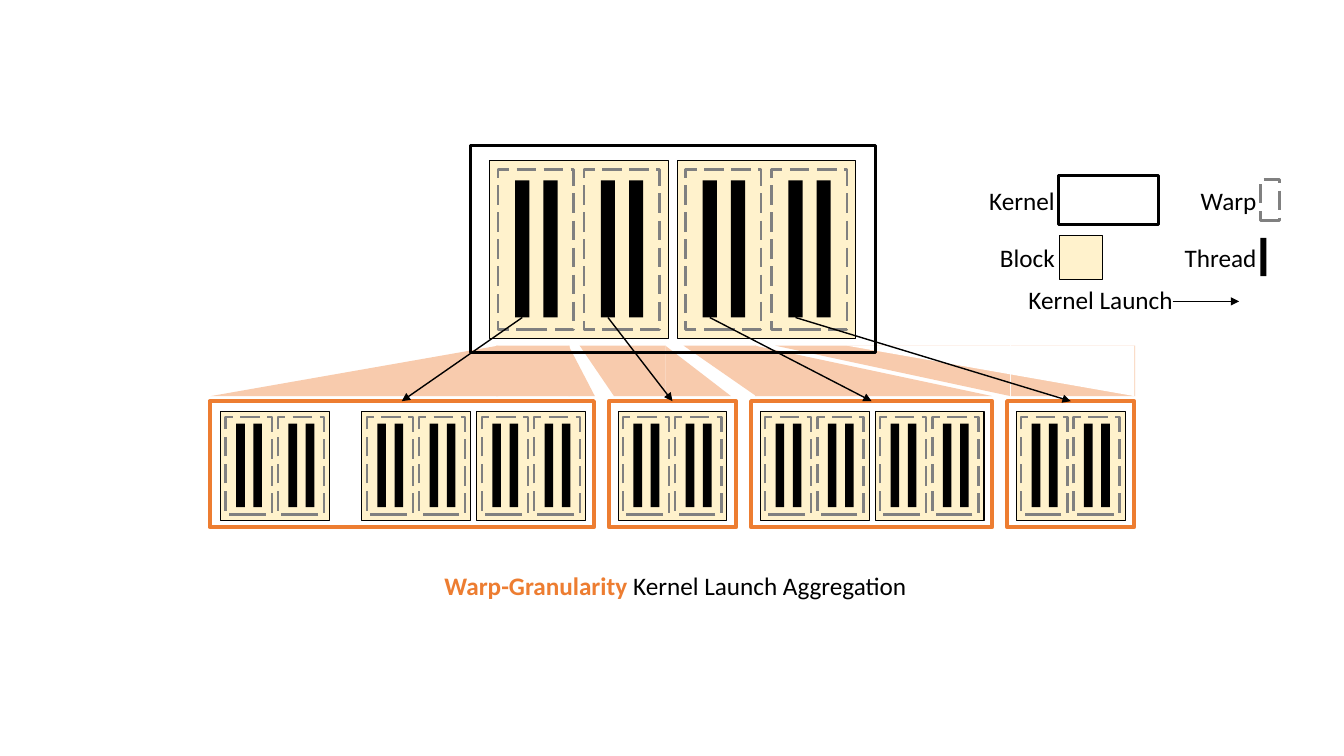
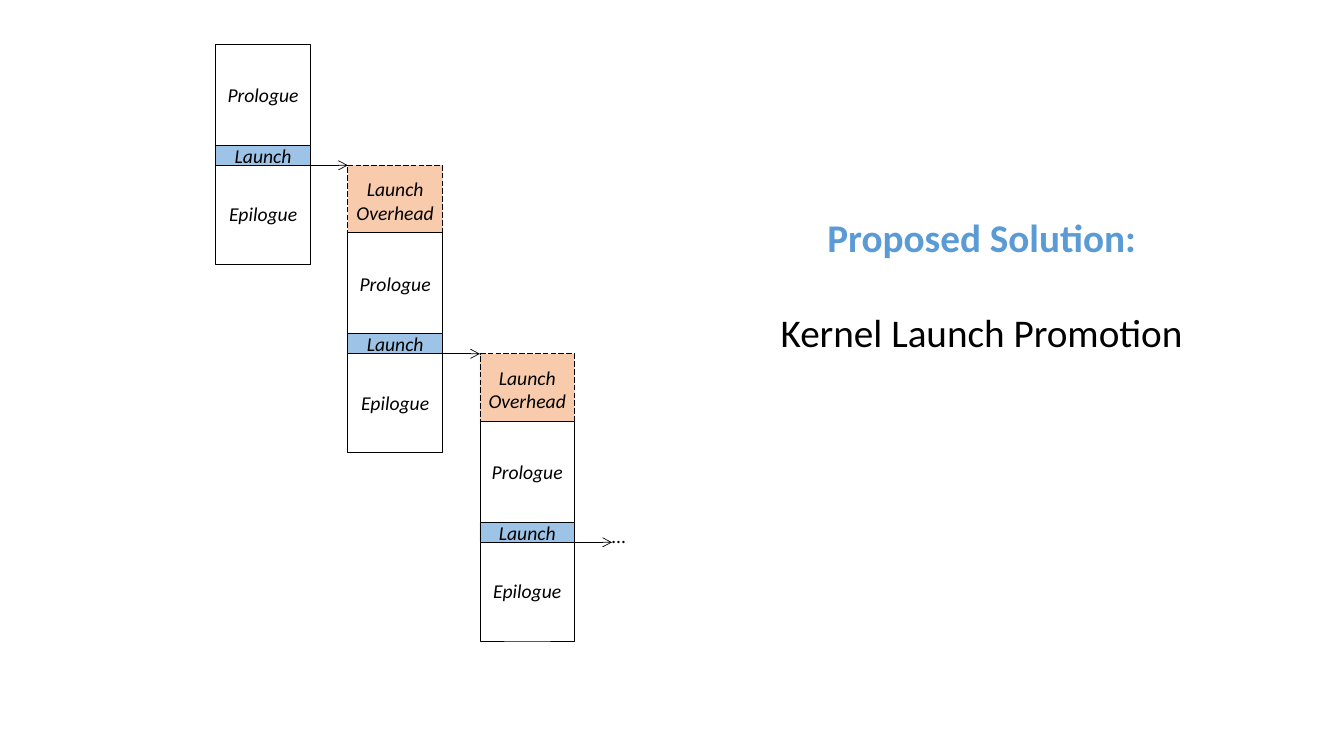
from dataclasses import dataclass
from typing import NamedTuple

from lxml import etree
from pptx import Presentation
from pptx.dml.color import RGBColor
from pptx.enum.dml import MSO_LINE
from pptx.enum.shapes import MSO_CONNECTOR, MSO_SHAPE
from pptx.enum.text import MSO_ANCHOR, MSO_AUTO_SIZE, PP_ALIGN
from pptx.oxml.ns import qn
from pptx.shapes.autoshape import Shape
from pptx.slide import Slide
from pptx.text.text import TextFrame
from pptx.util import Inches, Pt

RECT, TRIANGLE = MSO_SHAPE.RECTANGLE, MSO_SHAPE.RIGHT_TRIANGLE
STRAIGHT = MSO_CONNECTOR.STRAIGHT
LONG_DASH = MSO_LINE.LONG_DASH
LEFT, CENTER, RIGHT = PP_ALIGN.LEFT, PP_ALIGN.CENTER, PP_ALIGN.RIGHT
MIDDLE = MSO_ANCHOR.MIDDLE
FIT_SHAPE = MSO_AUTO_SIZE.SHAPE_TO_FIT_TEXT

FONT = "Calibri"
BLACK, WHITE, GRAY = "000000", "FFFFFF", "808080"
ORANGE, PEACH, CREAM = "ED7D31", "F8CBAD", "FFF2CC"
BLUE, LIGHT_BLUE = "5B9BD5", "9DC3E6"


class Box(NamedTuple):
    left: float
    top: float
    width: float
    height: float


@dataclass(frozen=True)
class Outline:
    color: str
    width: float
    dash: MSO_LINE | None = None


@dataclass(frozen=True)
class Run:
    text: str
    color: str = BLACK
    bold: bool = False


@dataclass(frozen=True)
class FanPiece:
    left: float
    width: float
    preset: MSO_SHAPE = TRIANGLE
    flip: str = ""
    fill: str = PEACH


@dataclass(frozen=True)
class Launch:
    left: float
    width: float
    blocks: tuple[float, ...]


@dataclass(frozen=True)
class Phase:
    text: str
    offset: float
    height: float
    fill: str
    outline: Outline


THIN = Outline(BLACK, 0.75)
HAIRLINE = Outline(BLACK, 0.5)
KERNEL_LINE = Outline(BLACK, 2.25)
LAUNCH_LINE = Outline(ORANGE, 3)
WARP_LINE = Outline(GRAY, 1.75, LONG_DASH)

BLOCK_SIZE, SMALL_BLOCK_SIZE = 1.77, 1.08
PARENT_TOP, CHILD_TOP = 1.59, 4.08
PARENT_BLOCKS = (4.86, 6.72)
WARP_STEP, THREAD_STEP = 0.85, 0.28
FAN_TOP, FAN_HEIGHT = 3.43, 0.5
LAUNCH_TOP, LAUNCH_HEIGHT = 3.98, 1.25
THREAD_BOTTOM = 3.15

FAN = (
    FanPiece(7.69, 2.33, flip="HV"),
    FanPiece(10.03, 1.23, RECT),
    FanPiece(8.4, 2.85, flip="HV", fill=WHITE),
    FanPiece(6.78, 0.72, flip="HV"),
    FanPiece(7.49, 2.35),
    FanPiece(5.75, 0.34, flip="HV"),
    FanPiece(6.6, 0.65),
    FanPiece(6.09, 0.51, RECT),
    FanPiece(2.09, 2.85, flip="H"),
    FanPiece(5.64, 0.26),
    FanPiece(4.92, 0.73, RECT),
)
LAUNCHES = (
    Launch(2.08, 3.81, (2.19, 3.59, 4.73)),
    Launch(6.04, 1.26, (6.13,)),
    Launch(7.45, 2.39, (7.54, 8.68)),
    Launch(9.99, 1.26, (10.08,)),
)
LEGEND_LABELS = (
    ("Kernel", Box(9.7, 1.79, 0.86, 0.4)),
    ("Block", Box(9.81, 2.35, 0.75, 0.4)),
    ("Warp", Box(11.8, 1.79, 0.76, 0.4)),
    ("Thread", Box(11.64, 2.35, 0.92, 0.4)),
    ("Kernel Launch", Box(10.08, 2.77, 1.65, 0.4)),
)

COLUMN_LEFT, COLUMN_WIDTH, COLUMN_STEP = 2.14, 0.94, 1.31
FIRST_LAUNCH, LAUNCH_STEP = 1.44, 1.87
COLUMN_COUNT = 3
OVERHEAD = Phase("Launch Overhead", -1.67, 0.7, PEACH, Outline(BLACK, 0.5, LONG_DASH))
PHASES = (
    Phase("Epilogue", 0.18, 1, WHITE, HAIRLINE),
    Phase("Prologue", -1, 1, WHITE, HAIRLINE),
    Phase("Launch", 0, 0.2, LIGHT_BLUE, HAIRLINE),
)


def rgb(color: str) -> RGBColor:
    return RGBColor.from_string(color)


def add_box(slide: Slide, box: Box, fill: str | None = None,
            outline: Outline | None = None, preset: MSO_SHAPE = RECT) -> Shape:
    sp = slide.shapes.add_shape(preset, *map(Inches, box))
    sp.shadow.inherit = False
    if fill:
        sp.fill.solid()
        sp.fill.fore_color.rgb = rgb(fill)
    else:
        sp.fill.background()
    if outline:
        sp.line.color.rgb = rgb(outline.color)
        sp.line.width = Pt(outline.width)
        if outline.dash:
            sp.line.dash_style = outline.dash
    else:
        sp.line.fill.background()
    return sp


def add_arrow(slide: Slide, start: tuple[float, float], end: tuple[float, float],
              width: float, head: str) -> None:
    cn = slide.shapes.add_connector(STRAIGHT, *map(Inches, start + end))
    cn.line.color.rgb = rgb(BLACK)
    cn.line.width = Pt(width)
    sp_pr = cn.element.spPr
    etree.SubElement(sp_pr.find(qn("a:ln")), qn("a:tailEnd"), type=head)
    etree.SubElement(sp_pr, qn("a:effectLst"))


def write(tf: TextFrame, lines: list[list[Run]], size: float, align: PP_ALIGN,
          italic: bool = False, gap: float = 0) -> None:
    for i, runs in enumerate(lines):
        p = tf.add_paragraph() if i else tf.paragraphs[0]
        p.alignment = align
        p.font.name = FONT
        p.font.size = Pt(size)
        p.font.italic = italic
        if i:
            p.space_before = Pt(gap)
        for run in runs:
            r = p.add_run()
            r.text = run.text
            r.font.bold = run.bold
            r.font.color.rgb = rgb(run.color)


def clear_margins(tf: TextFrame) -> None:
    tf.margin_left = tf.margin_top = tf.margin_right = tf.margin_bottom = 0


def add_text(slide: Slide, box: Box, lines: list[list[Run]], size: float,
             align: PP_ALIGN, wrap: bool = False, gap: float = 0) -> TextFrame:
    tf = slide.shapes.add_textbox(*map(Inches, box)).text_frame
    tf.word_wrap = wrap
    tf.auto_size = FIT_SHAPE
    write(tf, lines, size, align, gap=gap)
    return tf


def add_block(slide: Slide, left: float, top: float, size: float) -> None:
    scale = size / BLOCK_SIZE

    def part(x: float, y: float, width: float, height: float) -> Box:
        return Box(left + x * scale, top + y * scale, width * scale, height * scale)

    add_box(slide, Box(left, top, size, size), CREAM, THIN)
    for warp in range(2):
        x = 0.08 + warp * WARP_STEP
        for thread in range(2):
            add_box(slide, part(x + 0.17 + thread * THREAD_STEP, 0.2, 0.14, 1.36), BLACK)
        add_box(slide, part(x, 0.09, 0.75, 1.59), outline=WARP_LINE)


def add_fan(slide: Slide) -> None:
    for piece in FAN:
        sp = add_box(slide, Box(piece.left, FAN_TOP, piece.width, FAN_HEIGHT),
                     piece.fill, preset=piece.preset)
        for axis in piece.flip:
            sp.element.spPr.xfrm.set(f"flip{axis}", "1")


def add_legend(slide: Slide) -> None:
    add_box(slide, Box(10.51, 2.34, 0.43, 0.43), CREAM, THIN)
    add_box(slide, Box(10.5, 1.74, 0.99, 0.49), outline=KERNEL_LINE)
    add_box(slide, Box(12.5, 1.78, 0.19, 0.41), outline=WARP_LINE)
    add_box(slide, Box(12.5, 2.36, 0.06, 0.38), BLACK)
    add_arrow(slide, (11.63, 2.99), (12.29, 2.99), 1, "triangle")
    for text, box in LEGEND_LABELS:
        add_text(slide, box, [[Run(text)]], 18, RIGHT)


def build_aggregation(slide: Slide) -> None:
    add_fan(slide)
    for launch in LAUNCHES:
        add_box(slide, Box(launch.left, LAUNCH_TOP, launch.width, LAUNCH_HEIGHT),
                outline=LAUNCH_LINE)
        for left in launch.blocks:
            add_block(slide, left, CHILD_TOP, SMALL_BLOCK_SIZE)
    for left in PARENT_BLOCKS:
        add_block(slide, left, PARENT_TOP, BLOCK_SIZE)
    add_box(slide, Box(4.67, 1.44, 4.01, 2.06), outline=KERNEL_LINE)
    caption = [Run("Warp-Granularity", ORANGE, True), Run(" Kernel Launch Aggregation")]
    add_text(slide, Box(4.28, 5.61, 4.84, 0.4), [caption], 18, CENTER)
    starts = [left + 0.32 + warp * WARP_STEP for left in PARENT_BLOCKS for warp in range(2)]
    for x, launch in zip(starts, LAUNCHES):
        add_arrow(slide, (x, THREAD_BOTTOM),
                  (launch.left + launch.width / 2, LAUNCH_TOP), 1, "triangle")
    add_legend(slide)


def add_phase(slide: Slide, phase: Phase, left: float, launch_top: float) -> None:
    box = Box(left, launch_top + phase.offset, COLUMN_WIDTH, phase.height)
    tf = add_box(slide, box, phase.fill, phase.outline).text_frame
    clear_margins(tf)
    tf.word_wrap = True
    tf.vertical_anchor = MIDDLE
    write(tf, [[Run(phase.text)]], 14, CENTER, italic=True)


def build_promotion(slide: Slide) -> None:
    for i in range(COLUMN_COUNT):
        left = COLUMN_LEFT + i * COLUMN_STEP
        top = FIRST_LAUNCH + i * LAUNCH_STEP
        add_arrow(slide, (left + COLUMN_WIDTH, top + 0.2),
                  (left + COLUMN_STEP, top + 0.2), 0.5, "arrow")
        for phase in ((OVERHEAD,) if i else ()) + PHASES:
            add_phase(slide, phase, left, top)
    clear_margins(add_text(slide, Box(6.07, 5.2, 0.27, 0.24), [[Run("…")]], 14, LEFT))
    lines = [[Run("Proposed Solution:", BLUE, True)], [Run("Kernel Launch Promotion")]]
    add_text(slide, Box(6.84, 2.07, 5.79, 1.51), lines, 28, CENTER, wrap=True, gap=34)


def main() -> None:
    prs = Presentation()
    prs.slide_width, prs.slide_height = Inches(13.33), Inches(7.5)
    blank = prs.slide_layouts[6]
    for build in (build_aggregation, build_promotion):
        build(prs.slides.add_slide(blank))
    prs.save("out.pptx")


main()
